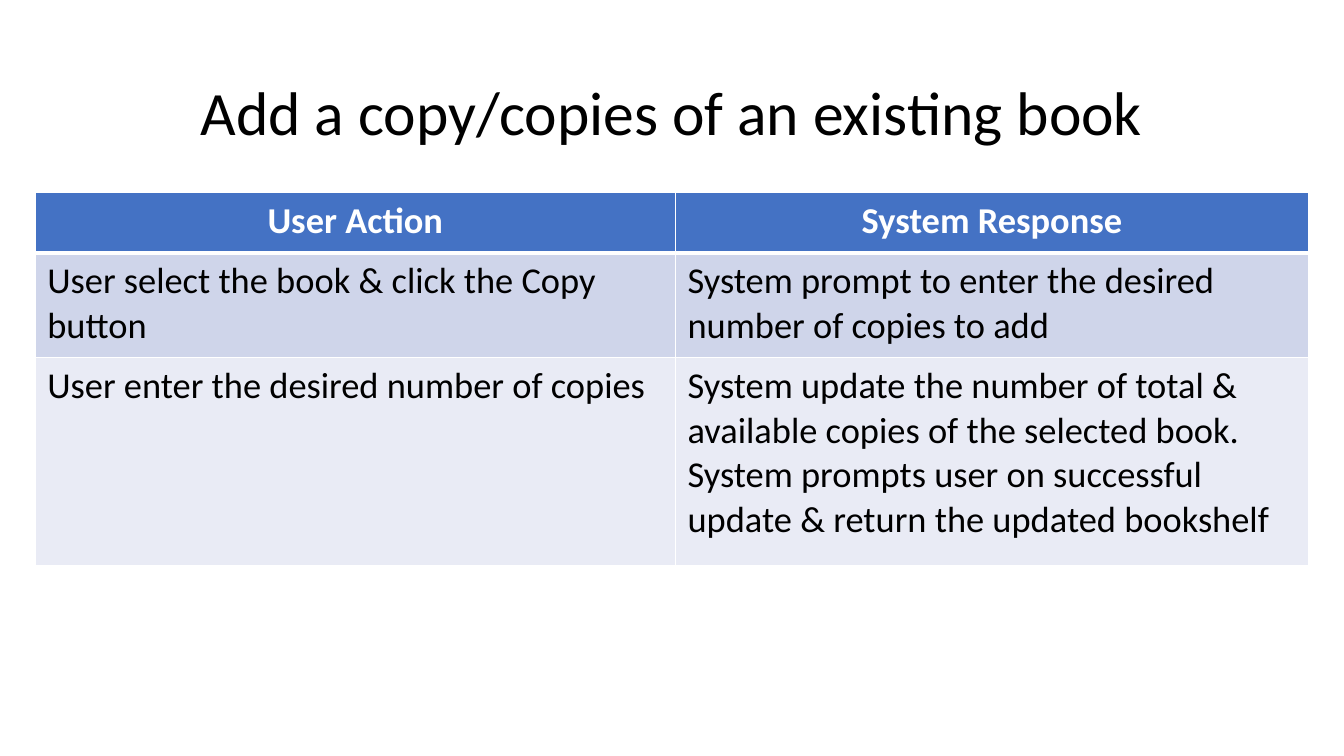
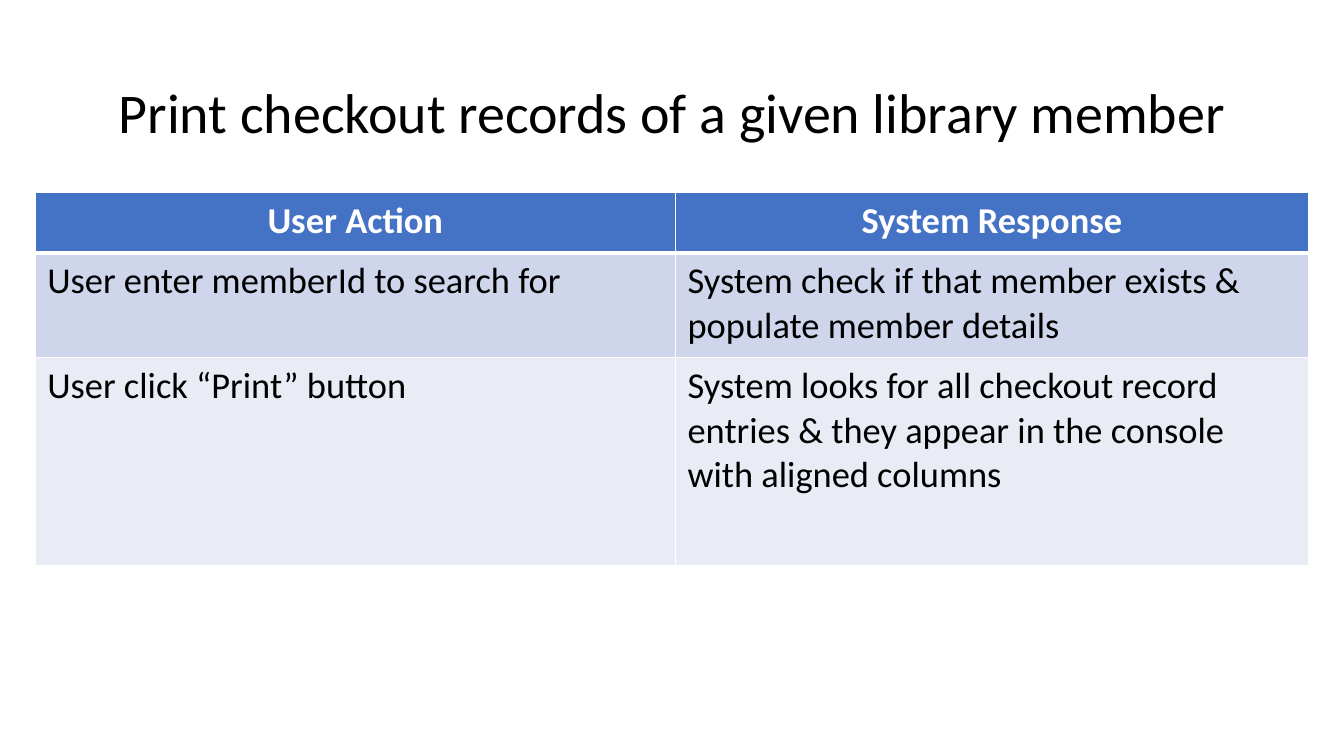
"""Build two use-case slides, each with a title and a table of user actions and system responses."""
from lxml.etree import SubElement
from pptx import Presentation
from pptx.dml.color import RGBColor
from pptx.enum.text import MSO_ANCHOR, PP_ALIGN
from pptx.oxml.ns import qn
from pptx.util import Inches, Pt

COLORS = {"text": "000000", "white": "FFFFFF", "header": "4472C4",
          "band_dark": "CFD5EA", "band_light": "E9EBF5"}
ROW_FILLS = ["header", "band_dark", "band_light"]
FONT = "Calibri"
TABLE_LEFT, TABLE_TOP = 0.35, 1.91
COLUMN_WIDTHS = [6.35, 6.28]
ROW_HEIGHTS = [0.6, 1.04, 2.06]
HEADER = ["User Action", "System Response"]
USE_CASES = [
    {"title": "Add a copy/copies of an existing book", "size": 44, "left": 0.35, "width": 12.63,
     "steps": [
         ["User select the book & click the Copy button",
          "System prompt to enter the desired number of copies to add"],
         ["User enter the desired number of copies",
          "System update the number of total & available copies of the selected book. "
          "System prompts user on successful update & return the updated bookshelf"]]},
    {"title": "Print checkout records of a given library member", "size": 40, "left": 0.7, "width": 11.93,
     "steps": [
         ["User enter memberId to search for",
          "System check if that member exists & populate member details"],
         ["User click “Print” button",
          "System looks for all checkout record entries & they appear in the console "
          "with aligned columns"]]},
]


def write(frame, text, size, color, bold=False, align=PP_ALIGN.LEFT):
    para = frame.paragraphs[0]
    para.alignment = align
    span = para.add_run()
    span.text = text
    span.font.name = FONT
    span.font.size = Pt(size)
    span.font.bold = bold
    span.font.color.rgb = RGBColor.from_string(COLORS[color])
    return para


def add_border(cell, side, points):
    line = SubElement(cell._tc.get_or_add_tcPr(), qn(f"a:ln{side}"), w=str(Pt(points)))
    fill = SubElement(line, qn("a:solidFill"))
    SubElement(fill, qn("a:srgbClr"), val=COLORS["white"])


deck = Presentation()
deck.slide_width, deck.slide_height = Inches(13.33), Inches(7.5)

for case in USE_CASES:
    page = deck.slides.add_slide(deck.slide_layouts[6])

    title = page.shapes.add_textbox(Inches(case["left"]), Inches(0.46), Inches(case["width"]), Inches(1.37))
    title.text_frame.word_wrap = True
    title.text_frame.vertical_anchor = MSO_ANCHOR.MIDDLE
    heading = write(title.text_frame, case["title"], case["size"], "text", align=PP_ALIGN.CENTER)
    heading.line_spacing = 0.9

    rows = [HEADER] + case["steps"]
    table = page.shapes.add_table(
        len(rows), len(HEADER), Inches(TABLE_LEFT), Inches(TABLE_TOP),
        Inches(sum(COLUMN_WIDTHS)), Inches(sum(ROW_HEIGHTS))).table
    for column, width in zip(table.columns, COLUMN_WIDTHS):
        column.width = Inches(width)

    for row_index, texts in enumerate(rows):
        table.rows[row_index].height = Inches(ROW_HEIGHTS[row_index])
        is_header = row_index == 0
        for column_index, text in enumerate(texts):
            cell = table.cell(row_index, column_index)
            cell.margin_left = cell.margin_right = Inches(0.12)
            cell.margin_top = cell.margin_bottom = Inches(0.06)
            add_border(cell, "L", 1)
            add_border(cell, "R", 1)
            add_border(cell, "T", 3 if row_index == 1 else 1)
            add_border(cell, "B", 3 if is_header else 1)
            cell.fill.solid()
            cell.fill.fore_color.rgb = RGBColor.from_string(COLORS[ROW_FILLS[row_index]])
            write(cell.text_frame, text, 26, "white" if is_header else "text", bold=is_header,
                  align=PP_ALIGN.CENTER if is_header else PP_ALIGN.LEFT)

deck.save("out.pptx")
